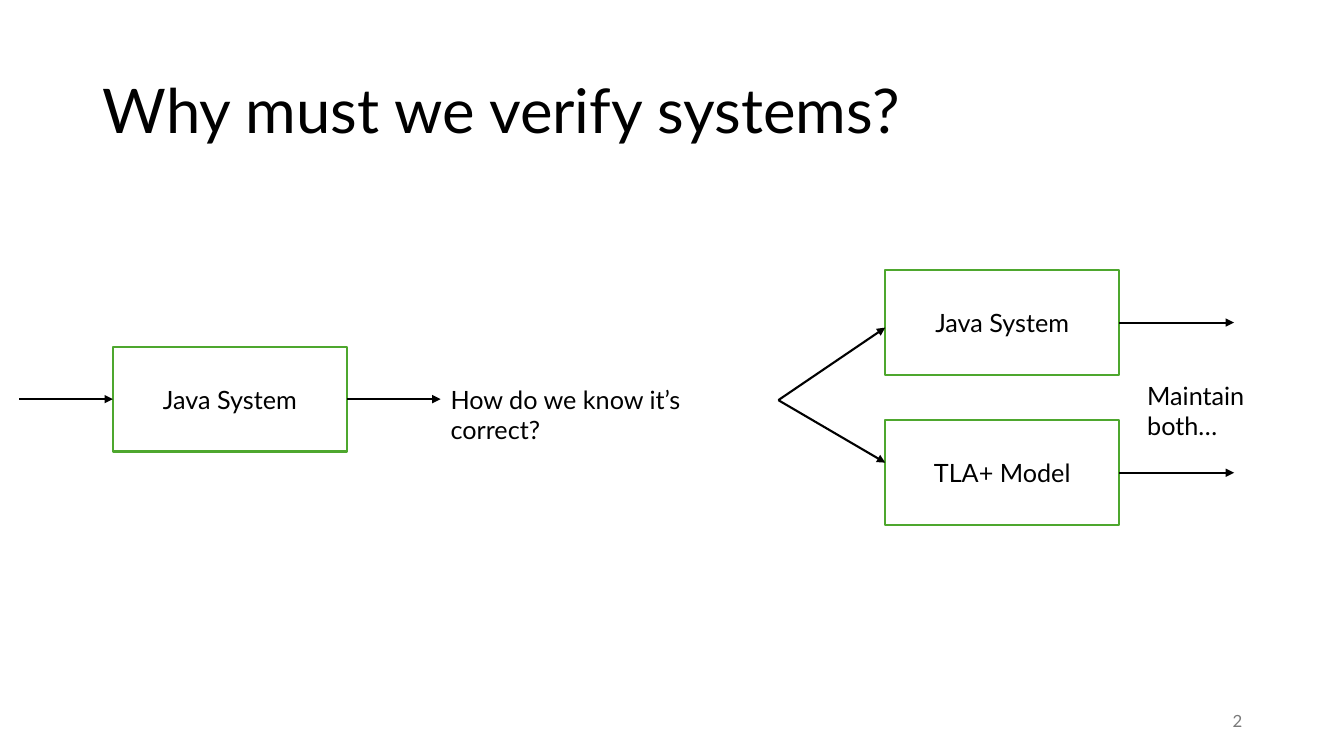
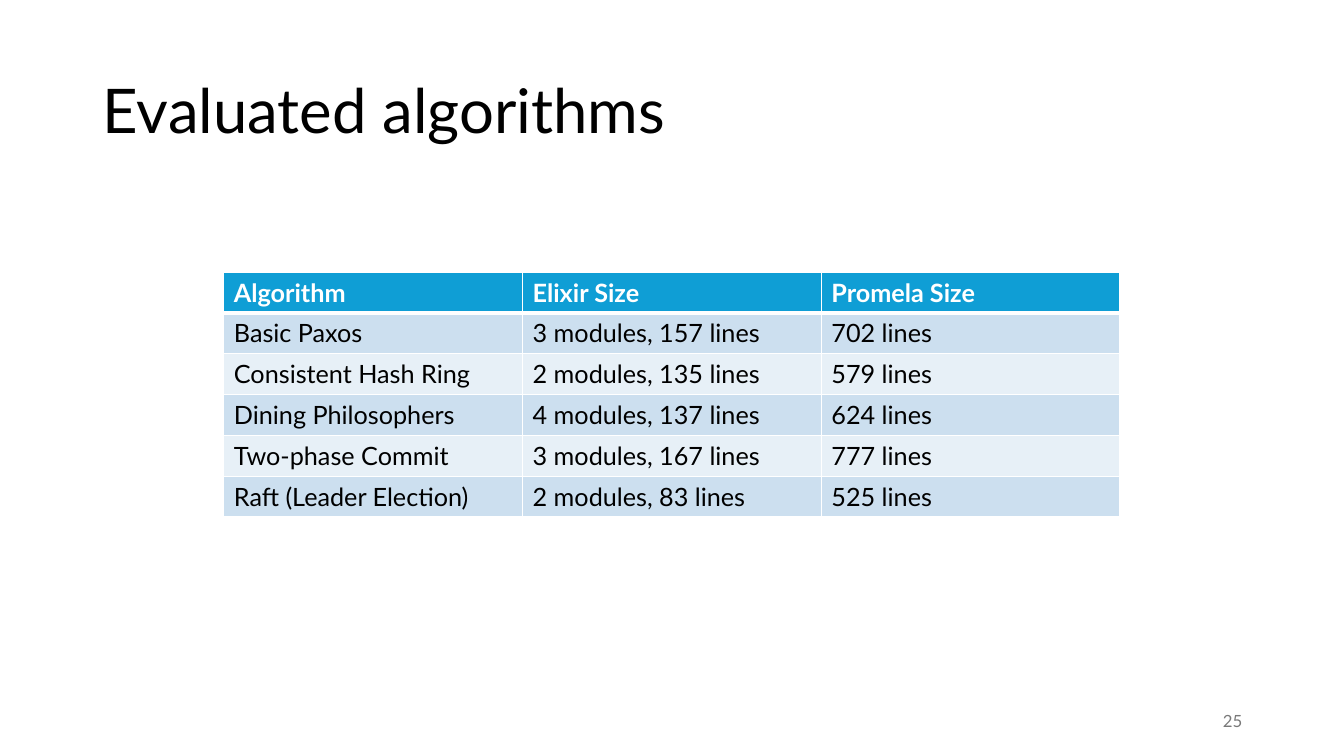
import pptx
import pptx.dml.color
import pptx.enum.shapes
import pptx.enum.text
import pptx.oxml
import pptx.oxml.ns
import pptx.util

EMU_PER_PX = 9144  # 100 px to the inch
FONT = "Lato"
COLORS = {
    "text": "000000",
    "white": "FFFFFF",
    "box_line": "4EA72E",
    "page_number": "797979",
    "header": "0F9ED5",
    "band_dark": "CCDFEF",
    "band_light": "E7F0F7",
}
ALIGN = pptx.enum.text.PP_ALIGN
ANCHOR = pptx.enum.text.MSO_ANCHOR
TOP, LEFT, BOTTOM, RIGHT = range(4)  # connection sites of a rectangle

ALGORITHMS = [
    ("Algorithm", "Elixir Size", "Promela Size"),
    ("Basic Paxos", "3 modules, 157 lines", "702 lines"),
    ("Consistent Hash Ring", "2 modules, 135 lines", "579 lines"),
    ("Dining Philosophers", "4 modules, 137 lines", "624 lines"),
    ("Two-phase Commit", "3 modules, 167 lines", "777 lines"),
    ("Raft (Leader Election)", "2 modules, 83 lines", "525 lines"),
]


def px(length):
    return pptx.util.Emu(length * EMU_PER_PX)


def rgb(name):
    return pptx.dml.color.RGBColor.from_string(COLORS[name])


def write(frame, text, size=18, color="text", bold=False, align=ALIGN.LEFT):
    paragraph = frame.paragraphs[0]
    paragraph.alignment = align
    run = paragraph.add_run()
    run.text = text
    run.font.name = FONT
    run.font.size = pptx.util.Pt(size)
    run.font.bold = bold
    run.font.color.rgb = rgb(color)
    return paragraph


def add_text(slide, text, left, top, width, height, anchor=ANCHOR.TOP, **style):
    frame = slide.shapes.add_textbox(px(left), px(top), px(width), px(height)).text_frame
    frame.word_wrap = True
    frame.vertical_anchor = anchor
    return write(frame, text, **style)


def add_slide(presentation, title, number):
    """Blank slide with the shared title and page number."""
    slide = presentation.slides.add_slide(presentation.slide_layouts[6])
    heading = add_text(slide, title, 92, 40, 1150, 145, ANCHOR.MIDDLE, size=44)
    heading.line_spacing = 0.9
    add_text(slide, str(number), 942, 695, 300, 40, ANCHOR.MIDDLE,
             size=12, color="page_number", align=ALIGN.RIGHT)
    return slide


def add_box(slide, text, left, top):
    shape = slide.shapes.add_shape(pptx.enum.shapes.MSO_SHAPE.RECTANGLE,
                                   px(left), px(top), px(232), px(104))
    shape.shadow.inherit = False
    shape.fill.solid()
    shape.fill.fore_color.rgb = rgb("white")
    shape.line.color.rgb = rgb("box_line")
    shape.line.width = pptx.util.Pt(1.5)
    shape.text_frame.vertical_anchor = ANCHOR.MIDDLE
    write(shape.text_frame, text, align=ALIGN.CENTER)
    return shape


def add_arrow(slide, start, end, begin_join=None, end_join=None):
    """Arrow between two points; a join is a (box, site) pair."""
    connector = slide.shapes.add_connector(
        pptx.enum.shapes.MSO_CONNECTOR.STRAIGHT, *map(px, start + end))
    if begin_join:
        connector.begin_connect(*begin_join)
    if end_join:
        connector.end_connect(*end_join)
    connector.line.color.rgb = rgb("text")
    connector.line.width = pptx.util.Pt(1.5)
    properties = connector._element.spPr
    head = pptx.oxml.parse_xml(
        f'<a:tailEnd {pptx.oxml.ns.nsdecls("a")} type="triangle"/>')
    properties.find(pptx.oxml.ns.qn("a:ln")).append(head)
    properties.append(pptx.oxml.parse_xml(
        f'<a:effectLst {pptx.oxml.ns.nsdecls("a")}/>'))


def set_borders(cell, **points):
    """White cell borders, in the order L, R, T, B."""
    properties = cell._tc.get_or_add_tcPr()
    for side, width in points.items():
        properties.append(pptx.oxml.parse_xml(
            f'<a:ln{side} {pptx.oxml.ns.nsdecls("a")} w="{pptx.util.Pt(width)}">'
            f'<a:solidFill><a:srgbClr val="{COLORS["white"]}"/></a:solidFill>'
            f'</a:ln{side}>'))


def add_table(slide, rows, left, top, width, height):
    table = slide.shapes.add_table(len(rows), len(rows[0]), px(left), px(top),
                                   px(width), px(height)).table
    table.horz_banding = False
    for row_index, values in enumerate(rows):
        is_header = row_index == 0
        band = "band_dark" if row_index % 2 else "band_light"
        for column_index, text in enumerate(values):
            cell = table.cell(row_index, column_index)
            set_borders(cell, L=1, R=1, T=3 if row_index == 1 else 1,
                        B=3 if is_header else 1)
            cell.fill.solid()
            cell.fill.fore_color.rgb = rgb("header" if is_header else band)
            write(cell.text_frame, text, bold=is_header,
                  color="white" if is_header else "text")


def build_verification_slide(presentation):
    slide = add_slide(presentation, "Why must we verify systems?", 2)

    # One system, with no means of checking it
    system = add_box(slide, "Java System", 112, 344)
    add_arrow(slide, (19, 396), (112, 396), end_join=(system, LEFT))
    add_arrow(slide, (344, 396), (437, 396), begin_join=(system, RIGHT))
    add_text(slide, "How do we know it’s correct?", 437, 376, 335, 40)

    # System and model side by side
    for text, top, entry in (("Java System", 268, 325), ("TLA+ Model", 417, 459)):
        box = add_box(slide, text, 878, top)
        middle = top + 52
        add_arrow(slide, (772, 397), (878, entry))
        add_arrow(slide, (1110, middle), (1224, middle), begin_join=(box, RIGHT))
    add_text(slide, "Maintain both…", 1128, 372, 150, 40)


def build_algorithms_slide(presentation):
    slide = add_slide(presentation, "Evaluated algorithms", 25)
    add_table(slide, ALGORITHMS, 222, 270, 889, 243)


def main():
    presentation = pptx.Presentation()
    presentation.slide_width = px(1333)
    presentation.slide_height = px(750)
    build_verification_slide(presentation)
    build_algorithms_slide(presentation)
    presentation.save("out.pptx")


if __name__ == "__main__":
    main()
